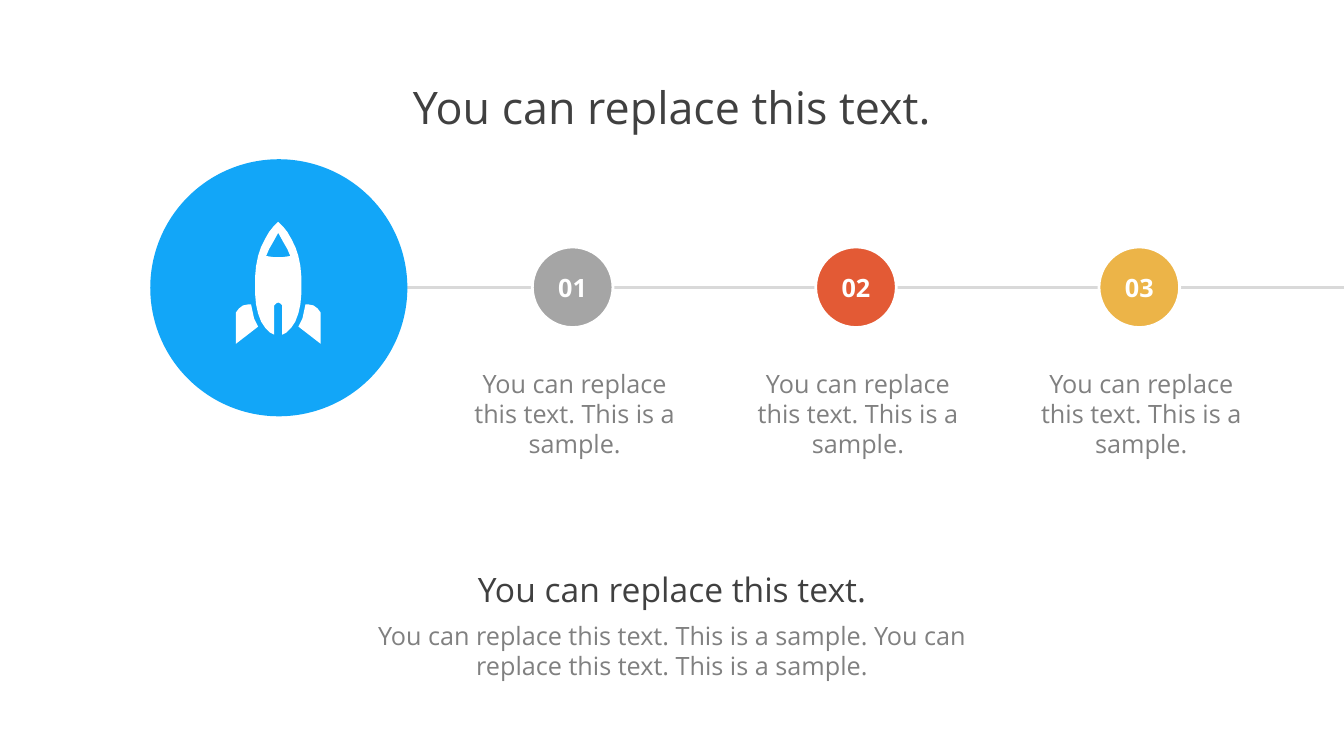
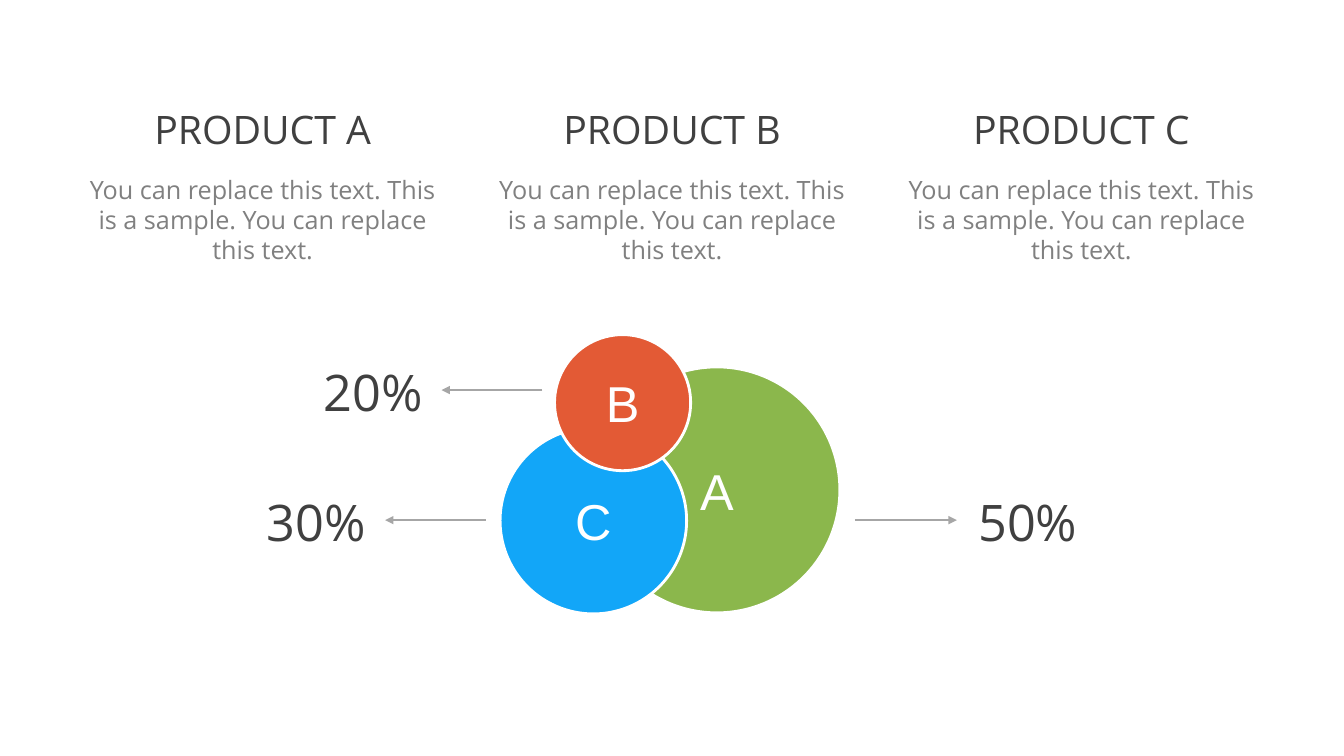
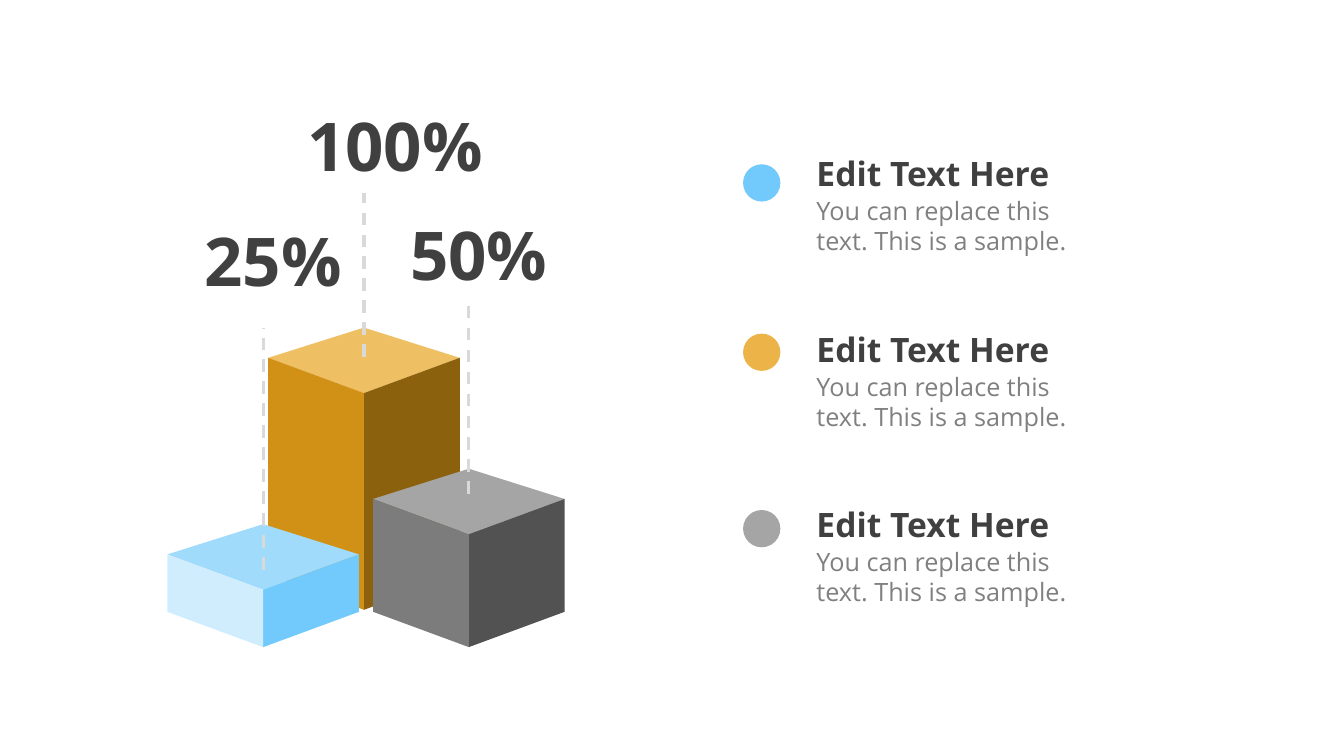
from pptx import Presentation
from pptx.dml.color import RGBColor
from pptx.enum.dml import MSO_LINE
from pptx.enum.shapes import MSO_CONNECTOR, MSO_SHAPE
from pptx.enum.text import MSO_ANCHOR, MSO_AUTO_SIZE, PP_ALIGN
from pptx.oxml.ns import qn
from pptx.util import Inches, Pt
from lxml.etree import SubElement

WIDTH, HEIGHT = 13.33, 7.5
FONT = "Open Sans"
WHITE = RGBColor(0xFF, 0xFF, 0xFF)
DARK = RGBColor(0x40, 0x40, 0x40)
GREY = RGBColor(0x80, 0x80, 0x80)
RULE = RGBColor(0xD9, 0xD9, 0xD9)
ARROW = RGBColor(0xA6, 0xA6, 0xA6)
BLUE = RGBColor(0x12, 0xA6, 0xF8)
SKY = RGBColor(0x71, 0xCA, 0xFB)
SKY_TOP = RGBColor(0xA0, 0xDB, 0xFC)
SKY_LEFT = RGBColor(0xD0, 0xED, 0xFE)
RED = RGBColor(0xE3, 0x5A, 0x35)
GREEN = RGBColor(0x8B, 0xB7, 0x4C)
GOLD = RGBColor(0xEC, 0xB4, 0x48)
GOLD_TOP = RGBColor(0xEF, 0xBF, 0x63)
GOLD_LEFT = RGBColor(0xD1, 0x91, 0x16)
GOLD_RIGHT = RGBColor(0x8C, 0x61, 0x0E)
STEEL = RGBColor(0xA5, 0xA5, 0xA5)
STEEL_LEFT = RGBColor(0x7C, 0x7C, 0x7C)
STEEL_RIGHT = RGBColor(0x52, 0x52, 0x52)

HEAD = "You can replace this text."
SAMPLE = "You can replace this text. This is a sample."

STEPS = [("01", STEEL), ("02", RED), ("03", GOLD)]
AXIS = 2.76
BODY = [(0, 2.2), (0.05, 2.25), (0.09, 2.3), (0.13, 2.37), (0.17, 2.45),
        (0.2, 2.54), (0.22, 2.64), (0.23, 2.75), (0.23, 2.91), (0.22, 3.02),
        (0.2, 3.11), (0.17, 3.19), (0.13, 3.25), (0.08, 3.3), (0.04, 3.32),
        (0.04, 3.03), (0.02, 3.01), (0, 3)]
PANE = [(0, 2.31), (0.05, 2.4), (0.09, 2.47), (0.12, 2.54), (0.05, 2.55), (0, 2.55)]
FIN = [(0.27, 3.02), (0.3, 3.02), (0.35, 3.03), (0.39, 3.06), (0.42, 3.1),
       (0.42, 3.41), (0.2, 3.24), (0.24, 3.16)]

ITEMS = ["PRODUCT A", "PRODUCT B", "PRODUCT C"]
DISCS = [("A", 5.89, 3.64, 2.44, GREEN), ("C", 4.96, 4.24, 1.85, BLUE),
         ("B", 5.5, 3.32, 1.35, RED)]
SHARES = [("50%", 9.57, 8.48, 9.49, 5.16), ("30%", 2.51, 4.82, 3.82, 5.16),
          ("20%", 3.08, 5.38, 4.38, 3.87)]

BLOCKS = [(3.61, 3.25, 2.15, GOLD_TOP, GOLD_RIGHT, GOLD_LEFT),
          (4.65, 4.65, 1.12, STEEL, STEEL_RIGHT, STEEL_LEFT),
          (2.61, 5.2, 0.57, SKY_TOP, SKY, SKY_LEFT)]
MARKS = [("100%", 2.95, 0.99, 1.96, 3.61, 3.54, 1.91),
         ("25%", 1.93, 2.13, 1.58, 2.61, 5.65, 3.25),
         ("50%", 3.97, 2.07, 1.58, 4.65, 4.9, 2.98)]
KEYS = [(SKY, 1.63), (GOLD, 3.31), (STEEL, 5.06)]


def style(box, words, size, color, bold=False, align=PP_ALIGN.CENTER, font=FONT):
    frame = box.text_frame
    frame.text = words
    para = frame.paragraphs[0]
    para.alignment = align
    face = para.runs[0].font
    face.name, face.size, face.bold = font, Pt(size), bold
    face.color.rgb = color
    return frame


def place(box, *spots):
    box.left, box.top, box.width, box.height = map(Inches, spots)


def text(slide, spots, words, size, color, wrap=True, anchor=MSO_ANCHOR.TOP, **looks):
    box = slide.shapes.add_textbox(*map(Inches, spots))
    frame = style(box, words, size, color, **looks)
    frame.word_wrap = wrap
    frame.auto_size = MSO_AUTO_SIZE.SHAPE_TO_FIT_TEXT
    frame.vertical_anchor = anchor


def disc(slide, left, top, size, color, edge=False):
    dot = slide.shapes.add_shape(MSO_SHAPE.OVAL, *map(Inches, (left, top, size, size)))
    paint(dot, color)
    if edge:
        dot.line.color.rgb = WHITE
        dot.line.width = Pt(2)
    return dot


def badge(dot, words, size, **looks):
    frame = style(dot, words, size, WHITE, **looks)
    frame.word_wrap = False
    frame.vertical_anchor = MSO_ANCHOR.MIDDLE


def paint(shape, color):
    shape.shadow.inherit = False
    shape.fill.solid()
    shape.fill.fore_color.rgb = color
    shape.line.fill.background()


def line(slide, start, end, color, width):
    link = slide.shapes.add_connector(MSO_CONNECTOR.STRAIGHT, *map(Inches, start + end))
    link.line.color.rgb = color
    link.line.width = Pt(width)
    SubElement(link._element.spPr, qn("a:effectLst"))
    return link


def outline(slide, color, *loops):
    pen = None
    for loop in loops:
        points = [(Inches(x), Inches(y)) for x, y in loop]
        if pen is None:
            pen = slide.shapes.build_freeform(*points[0], scale=1.0)
        else:
            pen.move_to(*points[0])
        pen.add_line_segments(points[1:], close=True)
    paint(pen.convert_to_shape(), color)


def flank(half, side):
    return [(AXIS + side * x, y) for x, y in half]


def whole(half):
    return flank(half, 1) + flank(half, -1)[::-1]


def journey(deck):
    slide = deck.slides.add_slide(deck.slide_layouts[5])
    mid = 2.85
    line(slide, (AXIS, mid), (WIDTH, mid), RULE, 2.25)
    disc(slide, 1.49, 1.58, 2.55, BLUE)
    for i, (mark, color) in enumerate(STEPS):
        shift = 2.81 * i
        badge(disc(slide, 5.28 + shift, mid - 0.4, 0.8, color, True), mark, 18, bold=True)
        text(slide, (4.6 + shift, 3.6, 2.2, 1.01), SAMPLE, 18, GREY)
    outline(slide, WHITE, whole(BODY), whole(PANE))
    for side in (-1, 1):
        outline(slide, WHITE, flank(FIN, side))
    wide = WIDTH / 2
    left = WIDTH / 4
    text(slide, (left, 6.1, wide, 0.71), f"{SAMPLE} {SAMPLE}", 18, GREY)
    text(slide, (left, 5.59, wide, 0.5), HEAD, 24, DARK)
    title = slide.shapes.title
    place(title, left, 0.74, wide, 0.64)
    frame = style(title, HEAD, 32, DARK)
    frame.vertical_anchor = MSO_ANCHOR.TOP
    frame.auto_size = MSO_AUTO_SIZE.NONE


def products(deck):
    slide = deck.slides.add_slide(deck.slide_layouts[6])
    for i, name in enumerate(ITEMS):
        left = 0.73 + 4.06 * i
        text(slide, (left, 1.68, 3.75, 1.01), f"{SAMPLE} {HEAD}", 18, GREY)
        text(slide, (left, 1, 3.75, 0.57), name, 28, DARK)
    for name, left, top, size, color in DISCS:
        badge(disc(slide, left, top, size, color, True), name, 36, font="Arial")
    for share, left, start, end, mid in SHARES:
        link = line(slide, (start, mid), (end, mid), ARROW, 1.5)
        SubElement(link.line._get_or_add_ln(), qn("a:tailEnd"), type="triangle")
        text(slide, (left, mid - 0.34, 1.25, 0.71), share, 36, DARK,
             anchor=MSO_ANCHOR.MIDDLE)


def blocks(deck):
    slide = deck.slides.add_slide(deck.slide_layouts[6])
    for mid, top, tall, lid, right, left in BLOCKS:
        back, front = (mid, top), (mid, top + 0.65)
        west, east = (mid - 0.95, top + 0.3), (mid + 0.95, top + 0.3)
        outline(slide, lid, [back, east, front, west])
        for corner, color in ((east, right), (west, left)):
            foot = [(x, y + tall) for x, y in (front, corner)]
            outline(slide, color, [corner, front] + foot)
    for mark, left, top, wide, mid, low, high in MARKS:
        dash = line(slide, (mid, low), (mid, high), RULE, 2.25)
        dash.line.dash_style = MSO_LINE.DASH
        text(slide, (left, top, wide, 0.91), mark, 48, DARK, wrap=False,
             bold=True, align=PP_ALIGN.LEFT)
    for i, (color, spot) in enumerate(KEYS):
        top = 1.47 + 1.74 * i
        text(slide, (8, top + 0.42, 3.04, 0.71), SAMPLE, 18, GREY, align=PP_ALIGN.LEFT)
        text(slide, (8, top, 2.53, 0.5), "Edit Text Here", 24, DARK, wrap=False,
             bold=True, align=PP_ALIGN.LEFT)
        disc(slide, 7.37, spot, 0.37, color)


def main():
    deck = Presentation()
    deck.slide_width, deck.slide_height = Inches(WIDTH), Inches(HEIGHT)
    for build in (journey, products, blocks):
        build(deck)
    deck.save("out.pptx")


if __name__ == "__main__":
    main()
